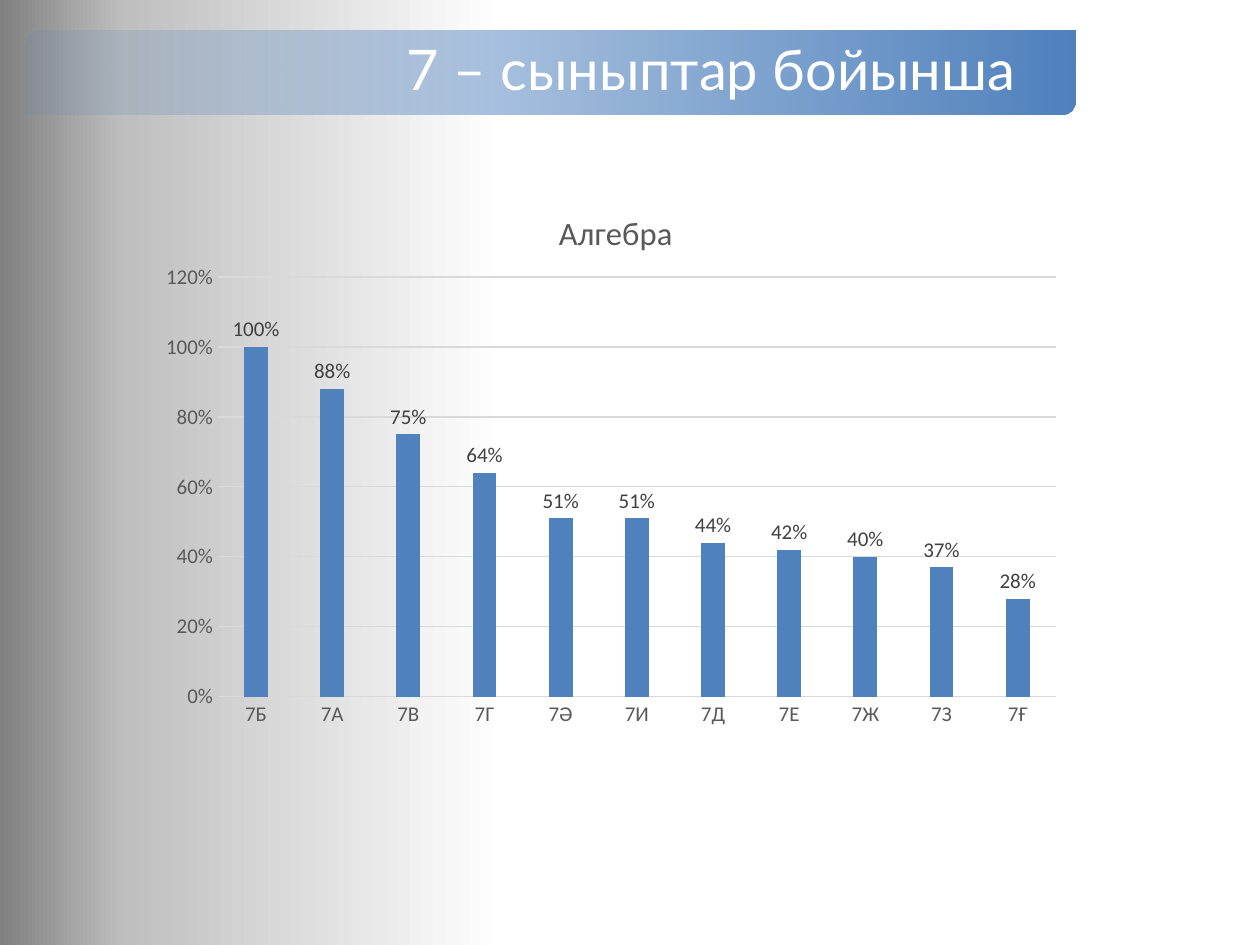
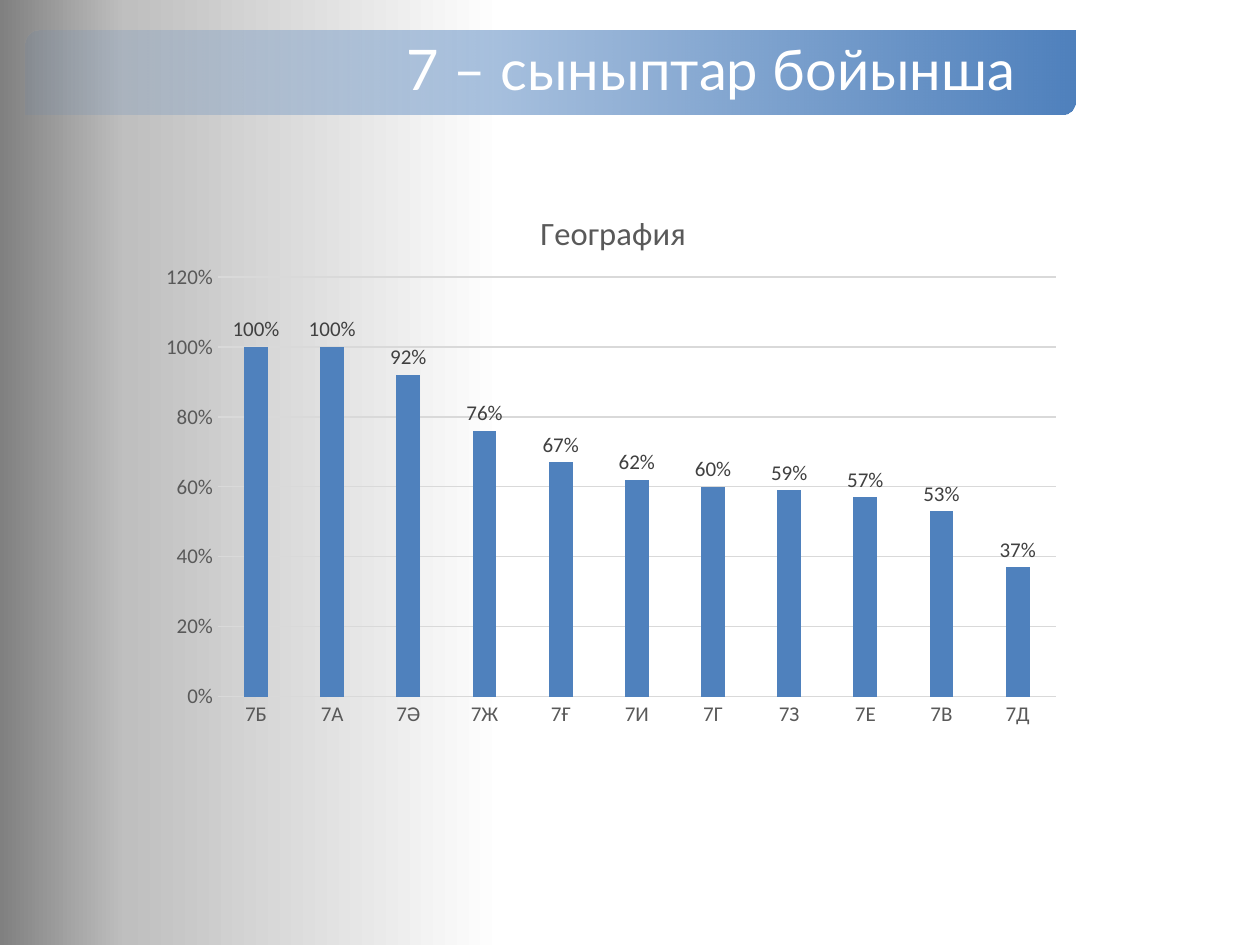
from dataclasses import dataclass

import pptx
import pptx.chart.data
import pptx.dml.color
import pptx.enum.chart
import pptx.enum.shapes
import pptx.enum.text
import pptx.oxml
import pptx.oxml.ns
import pptx.util
from pptx.util import Pt

COLORS = {
    "accent": "4F81BD",
    "white": "FFFFFF",
    "silver": "BFBFBF",
    "gray": "808080",
    "grid": "D9D9D9",
    "axis": "595959",
    "label": "404040",
}
HEADING = "7 – сыныптар бойынша"
HEADING_FONT = "Lato"
CHART_FONT = "Calibri"


@dataclass(frozen=True)
class Box:
    left: float
    top: float
    width: float
    height: float

    def lengths(self) -> tuple:
        return Pt(self.left), Pt(self.top), Pt(self.width), Pt(self.height)


@dataclass(frozen=True)
class Stop:
    position: int
    color: str
    opacity: int = 100


@dataclass(frozen=True)
class Subject:
    name: str
    name_left: float  # share of the chart width
    results: dict  # class -> percent


BAND = Box(14.4, 17.3, 600, 48)
CHART = Box(82, 100.8, 532, 319.7)
BACKDROP_STOPS = (Stop(60, "white"), Stop(90, "silver"), Stop(100, "gray"))
BAND_STOPS = (Stop(0, "accent", 10), Stop(100, "accent"))

SUBJECTS = (
    Subject("Алгебра", 0.44, {
        "7Б": 100, "7А": 88, "7В": 75, "7Г": 64, "7Ә": 51, "7И": 51,
        "7Д": 44, "7Е": 42, "7Ж": 40, "7З": 37, "7Ғ": 28,
    }),
    Subject("География", 0.42, {
        "7Б": 100, "7А": 100, "7Ә": 92, "7Ж": 76, "7Ғ": 67, "7И": 62,
        "7Г": 60, "7З": 59, "7Е": 57, "7В": 53, "7Д": 37,
    }),
)


def rgb(color: str) -> pptx.dml.color.RGBColor:
    return pptx.dml.color.RGBColor.from_string(COLORS[color])


def style_font(font, size: float, color: str, family: str = CHART_FONT) -> None:
    font.size = Pt(size)
    font.bold = False
    font.name = family
    font.color.rgb = rgb(color)


def apply_gradient(fill, owner, stops: tuple, angle: float) -> None:
    """Give a fill any number of stops, each with its own opacity."""
    fill.gradient()
    fill.gradient_angle = angle
    stop_list = next(owner.iter(pptx.oxml.ns.qn("a:gsLst")))
    for old_stop in list(stop_list):
        stop_list.remove(old_stop)
    for stop in stops:
        stop_list.append(pptx.oxml.parse_xml(
            f'<a:gs {pptx.oxml.ns.nsdecls("a")} pos="{stop.position * 1000}">'
            f'<a:srgbClr val="{COLORS[stop.color]}">'
            f'<a:alpha val="{stop.opacity * 1000}"/></a:srgbClr></a:gs>'))


def set_layout(part, index: int, target: str = "", **shares: float) -> None:
    """Fix the place of a chart part as shares of the chart area."""
    for old_layout in part.findall(pptx.oxml.ns.qn("c:layout")):
        part.remove(old_layout)
    inner = f'<c:layoutTarget val="{target}"/>' if target else ""
    inner += '<c:xMode val="edge"/><c:yMode val="edge"/>'
    inner += "".join(f'<c:{key} val="{share}"/>' for key, share in shares.items())
    part.insert(index, pptx.oxml.parse_xml(
        f'<c:layout {pptx.oxml.ns.nsdecls("c")}>'
        f"<c:manualLayout>{inner}</c:manualLayout></c:layout>"))


def add_heading(slide) -> None:
    # Band with two rounded corners
    band = slide.shapes.add_shape(
        pptx.enum.shapes.MSO_SHAPE.ROUND_2_DIAG_RECTANGLE, *BAND.lengths())
    band.shadow.inherit = False
    band.line.fill.background()
    apply_gradient(band.fill, band._element.spPr, BAND_STOPS, 0)

    # Title text, moved in front of the band
    title = slide.shapes.title
    band._element.addnext(title._element)
    title.left, title.top, title.width, title.height = BAND.lengths()
    frame = title.text_frame
    frame.word_wrap = True
    frame.auto_size = pptx.enum.text.MSO_AUTO_SIZE.NONE
    frame.vertical_anchor = pptx.enum.text.MSO_ANCHOR.MIDDLE
    frame.margin_left = Pt(218)
    frame.margin_top = frame.margin_right = frame.margin_bottom = Pt(12)
    paragraph = frame.paragraphs[0]
    paragraph.alignment = pptx.enum.text.PP_ALIGN.LEFT
    paragraph.line_spacing = 0.9
    run = paragraph.add_run()
    run.text = HEADING
    style_font(run.font, 32, "white", HEADING_FONT)


def add_results_chart(slide, subject: Subject) -> None:
    data = pptx.chart.data.CategoryChartData(number_format="0%")
    data.categories = list(subject.results)
    data.add_series("Series 1", [percent / 100 for percent in subject.results.values()])
    chart = slide.shapes.add_chart(
        pptx.enum.chart.XL_CHART_TYPE.COLUMN_CLUSTERED, *CHART.lengths(), data).chart
    chart.has_legend = False
    chart.font.size = Pt(10)
    chart.font.name = CHART_FONT

    # Subject name
    chart.has_title = True
    name = chart.chart_title.text_frame.paragraphs[0].add_run()
    name.text = subject.name
    style_font(name.font, 18.6, "axis")
    chart.chart_title.include_in_layout = False
    set_layout(chart.chart_title._element, 1, x=subject.name_left, y=0.05)

    # Axes
    classes, shares = chart.category_axis, chart.value_axis
    for axis in (classes, shares):
        axis.major_tick_mark = pptx.enum.chart.XL_TICK_MARK.NONE
        axis.minor_tick_mark = pptx.enum.chart.XL_TICK_MARK.NONE
        style_font(axis.tick_labels.font, 12, "axis")
    shares.minimum_scale, shares.maximum_scale, shares.major_unit = 0, 1.2, 0.2
    shares.tick_labels.number_format = "0%"
    shares.tick_labels.number_format_is_linked = False
    shares.format.line.fill.background()
    shares.has_major_gridlines = True
    for line in (classes.format.line, shares.major_gridlines.format.line):
        line.color.rgb = rgb("grid")
        line.width = Pt(0.75)

    # Columns and their labels
    plot = chart.plots[0]
    plot.vary_by_categories = False
    plot.gap_width = 219
    plot.overlap = -27
    columns = plot.series[0]
    columns.format.fill.solid()
    columns.format.fill.fore_color.rgb = rgb("accent")
    labels = columns.data_labels
    labels.show_value = True
    labels.number_format = "0%"
    labels.number_format_is_linked = False
    labels.position = pptx.enum.chart.XL_LABEL_POSITION.OUTSIDE_END
    style_font(labels.font, 12, "label")
    plot_area = next(chart._chartSpace.iter(pptx.oxml.ns.qn("c:plotArea")))
    set_layout(plot_area, 0, "inner", x=0.08, y=0.18, w=0.9, h=0.75)


def main() -> None:
    deck = pptx.Presentation()
    deck.slide_width, deck.slide_height = Pt(720), Pt(540)

    # Shared backdrop
    master = deck.slide_master
    apply_gradient(master.background.fill, master._element, BACKDROP_STOPS, 180)

    # One slide per subject
    title_only = deck.slide_layouts[5]
    for subject in SUBJECTS:
        slide = deck.slides.add_slide(title_only)
        add_heading(slide)
        add_results_chart(slide, subject)

    deck.save("out.pptx")


if __name__ == "__main__":
    main()
